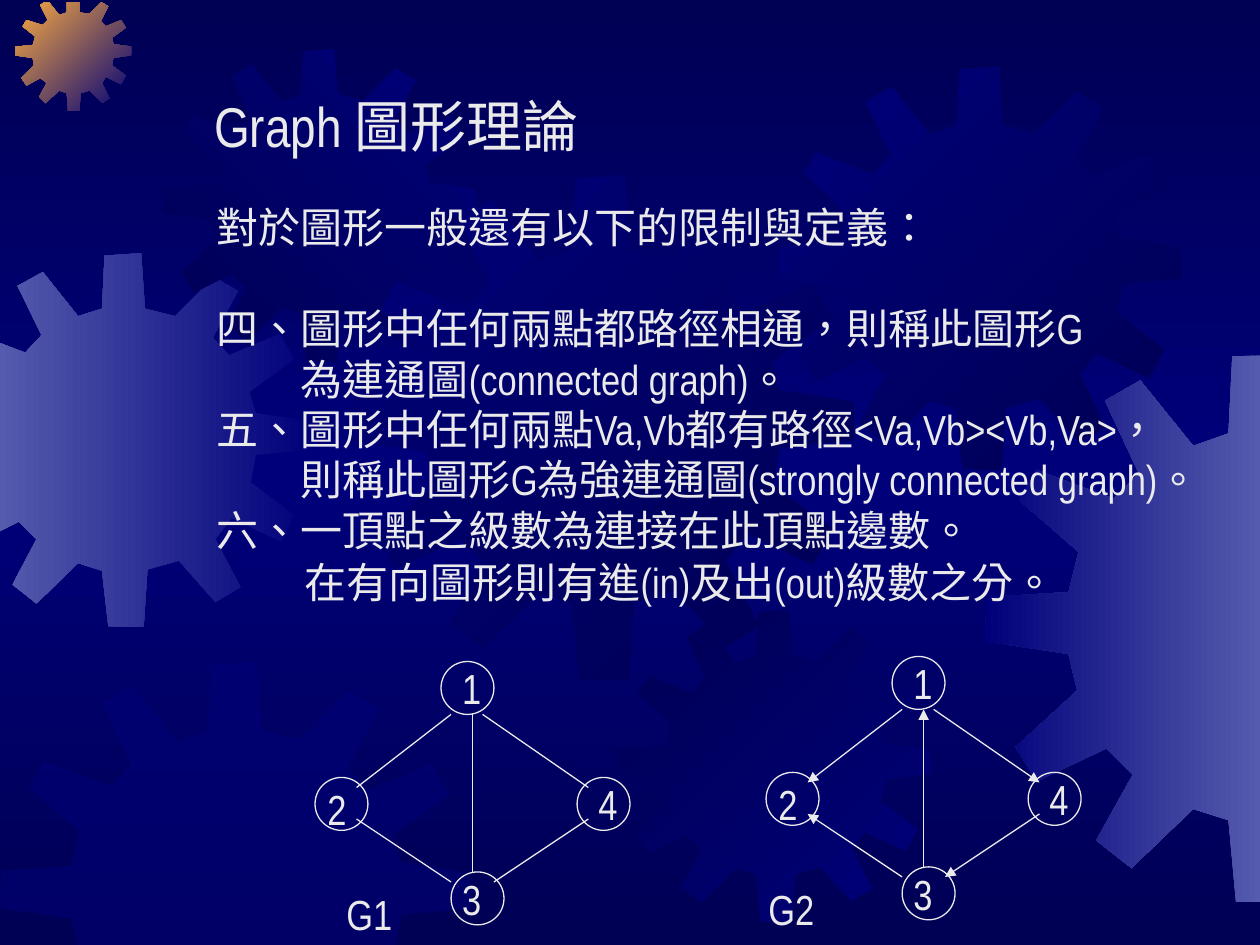
from copy import deepcopy

from pptx import Presentation
from pptx import util as u
from pptx.dml.color import RGBColor
from pptx.enum import shapes, text
from pptx.oxml import ns
from lxml import etree

PX = 9144
FONT = "Arial Narrow"
NAVY = RGBColor(0x00, 0x00, 0x54)
BLUE = RGBColor(0x00, 0x00, 0x7A)
LILAC = RGBColor(0x55, 0x5B, 0xAD)
AMBER = RGBColor(0xFC, 0xAB, 0x40)
PALE = RGBColor(0xEA, 0xEA, 0xEA)

SPAN = 401
TEETH = [
    (255, 67), (223, 59), (219, 0), (180, 3), (177, 59), (151, 68),
    (113, 20), (87, 35), (112, 88), (94, 106), (38, 85), (25, 107),
    (68, 145), (61, 174), (1, 178), (0, 210), (61, 219), (67, 246),
    (22, 287), (38, 312), (88, 288), (107, 307), (81, 355), (106, 375),
    (151, 332), (177, 340), (183, 400), (222, 401), (226, 339), (259, 330),
    (299, 374), (325, 358), (299, 306), (316, 284), (368, 309), (384, 281),
    (336, 246), (342, 216), (401, 210), (400, 180), (341, 171), (335, 148),
    (383, 114), (367, 87), (313, 109), (296, 91), (323, 41), (297, 25),
]
EDGES = [(0, -1, 1), (0, 1001, -1), (1, 2, 1), (1, 754, -1)]
GEARS = [
    (-50, 201, 297, BLUE, LILAC, 180),
    (12, -4, 92, BLUE, AMBER, 225),
    (130, 39, 248, BLUE, NAVY, 135),
    (277, 139, 401, NAVY, BLUE, 225),
    (0, 525, 374, BLUE, None, 0),
    (491, 484, 248, BLUE, NAVY, 225),
    (618, 53, 320, NAVY, BLUE, 225),
    (782, 280, 437, LILAC, BLUE, 180),
]
NODES = [("1", 100, 0, 7, -4), ("2", 0, 92, 0, 0),
         ("3", 108, 167, -1, -4), ("4", 208, 92, 7, -4)]
LINKS = [(108, 42, 33, 100), (108, 175, 33, 125), (125, 167, 125, 42),
         (133, 42, 217, 100), (217, 125, 142, 175)]
LINES = [
    (["對於圖形一般還有以下的限制與定義："], 0, 0),
    (["四、圖形中任何兩點都路徑相通，則稱此圖形", "G"], 0, 29),
    (["為連通圖", "(connected graph)", "。"], 67, 0),
    (["五、圖形中任何兩點", "Va,Vb", "都有路徑", "<Va,Vb><Vb,Va>", "，"], 0, 0),
    (["則稱此圖形", "G", "為強連通圖", "(strongly connected graph)", "。"], 67, 0),
    (["六、一頂點之級數為連接在此頂點邊數。"], 0, 0),
]


def emu(*vals):
    return [u.Emu(v * PX) for v in vals]


def write(para, runs, size=24):
    para.alignment = text.PP_ALIGN.LEFT
    for part in runs:
        run = para.add_run()
        run.text = part
        run.font.name = FONT
        run.font.size = u.Pt(size)
        run.font.color.rgb = PALE
        run._r.get_or_add_rPr().set("lang", "zh-TW")


def frame(shape, wrap=False):
    tf = shape.text_frame
    tf.word_wrap = wrap
    tf.auto_size = text.MSO_AUTO_SIZE.SHAPE_TO_FIT_TEXT
    tf.vertical_anchor = text.MSO_ANCHOR.TOP
    return tf


def label(host, box, runs, wrap=False):
    tf = frame(host.add_textbox(*emu(*box)), wrap)
    write(tf.paragraphs[0], runs)


def clip(pts):
    for axis, edge, sign in EDGES:
        kept = []
        for a, b in zip(pts, pts[1:] + pts[:1]):
            da, db = sign * (a[axis] - edge), sign * (b[axis] - edge)
            if da >= 0:
                kept.append(a)
            if da * db < 0:
                t = da / (da - db)
                kept.append(tuple(p + t * (q - p) for p, q in zip(a, b)))
        pts = kept
    return [(round(x), round(y)) for x, y in pts]


def blend(fill, tints, angle):
    fill.gradient_angle = (360 - angle) % 360
    for i, (stop, tint) in enumerate(zip(fill.gradient_stops, tints)):
        stop.position = i / (len(tints) - 1)
        stop.color.rgb = tint


def gear(host, x, y, size, first, last, angle):
    pts = clip([(x + a * size / SPAN, y + b * size / SPAN) for a, b in TEETH])
    form = host.build_freeform(*pts[0], scale=PX)
    form.add_line_segments(pts[1:], close=True)
    shape = form.convert_to_shape()
    shape.shadow.inherit = False
    shape.line.fill.background()
    if last is not None:
        shape.fill.gradient()
        blend(shape.fill, [first, last], angle)
        return
    shape.fill.solid()
    shape.fill.fore_color.rgb = first
    tint = shape._element.spPr.find(".//" + ns.qn("a:srgbClr"))
    etree.SubElement(tint, ns.qn("a:alpha"), val="50000")


def backdrop(slide):
    fill = slide.background.fill
    fill.gradient()
    stops = slide._element.find(".//" + ns.qn("a:gsLst"))
    stops.append(deepcopy(stops[0]))
    blend(fill, [NAVY, BLUE, NAVY], 90)
    for row in GEARS:
        gear(slide.shapes, *row)


def heading(slide, box):
    title = slide.shapes.title
    slide.shapes._spTree.append(title._element)
    title.left, title.top, title.width, title.height = emu(*box)
    write(frame(title).paragraphs[0], ["Graph ", "圖形理論"], 32)


def rules(slide, box):
    tf = frame(slide.shapes.add_textbox(*emu(*box)))
    for i, (runs, inset, gap) in enumerate(LINES):
        para = tf.add_paragraph() if i else tf.paragraphs[0]
        if inset:
            para._p.get_or_add_pPr().set("marL", str(inset * PX))
        if gap:
            para.space_before = u.Pt(gap)
        write(para, runs)


def link(host, ends, arrow):
    line = host.add_connector(shapes.MSO_CONNECTOR.STRAIGHT, *emu(*ends))
    line.line.color.rgb = PALE
    line.line.width = u.Pt(0.75)
    if arrow:
        etree.SubElement(line.line._get_or_add_ln(), ns.qn("a:tailEnd"),
                         type="triangle")
    etree.SubElement(line._element.spPr, ns.qn("a:effectLst"))


def graph(slide, x, y, arrow):
    host = slide.shapes.add_group_shape().shapes
    for _, dx, dy, _, _ in NODES:
        ring = host.add_shape(shapes.MSO_SHAPE.OVAL,
                              *emu(x + dx, y + dy, 42, 42))
        ring.shadow.inherit = False
        ring.fill.background()
        ring.line.color.rgb = PALE
        ring.line.width = u.Pt(0.75)
    for a, b, c, d in LINKS:
        link(host, (x + a, y + b, x + c, y + d), arrow)
    for name, dx, dy, tx, ty in NODES:
        wide = name == "2"
        box = (x + dx + tx, y + dy + ty, 42 if wide else 35, 50)
        label(host, box, [name], wide)


def main():
    deck = Presentation()
    deck.slide_width, deck.slide_height = emu(1000, 750)
    slide = deck.slides.add_slide(deck.slide_layouts[5])
    backdrop(slide)
    heading(slide, (160, 68, 340, 64))
    rules(slide, (162, 155, 842, 290))
    graph(slide, 250, 525, False)
    graph(slide, 608, 521, True)
    label(slide.shapes, (265, 700, 62, 50), ["G1"])
    label(slide.shapes, (600, 696, 62, 50), ["G2"])
    label(slide.shapes, (232, 437, 655, 50),
          ["在有向圖形則有進", "(in)", "及出", "(out)", "級數之分。"])
    deck.save("out.pptx")


if __name__ == "__main__":
    main()
